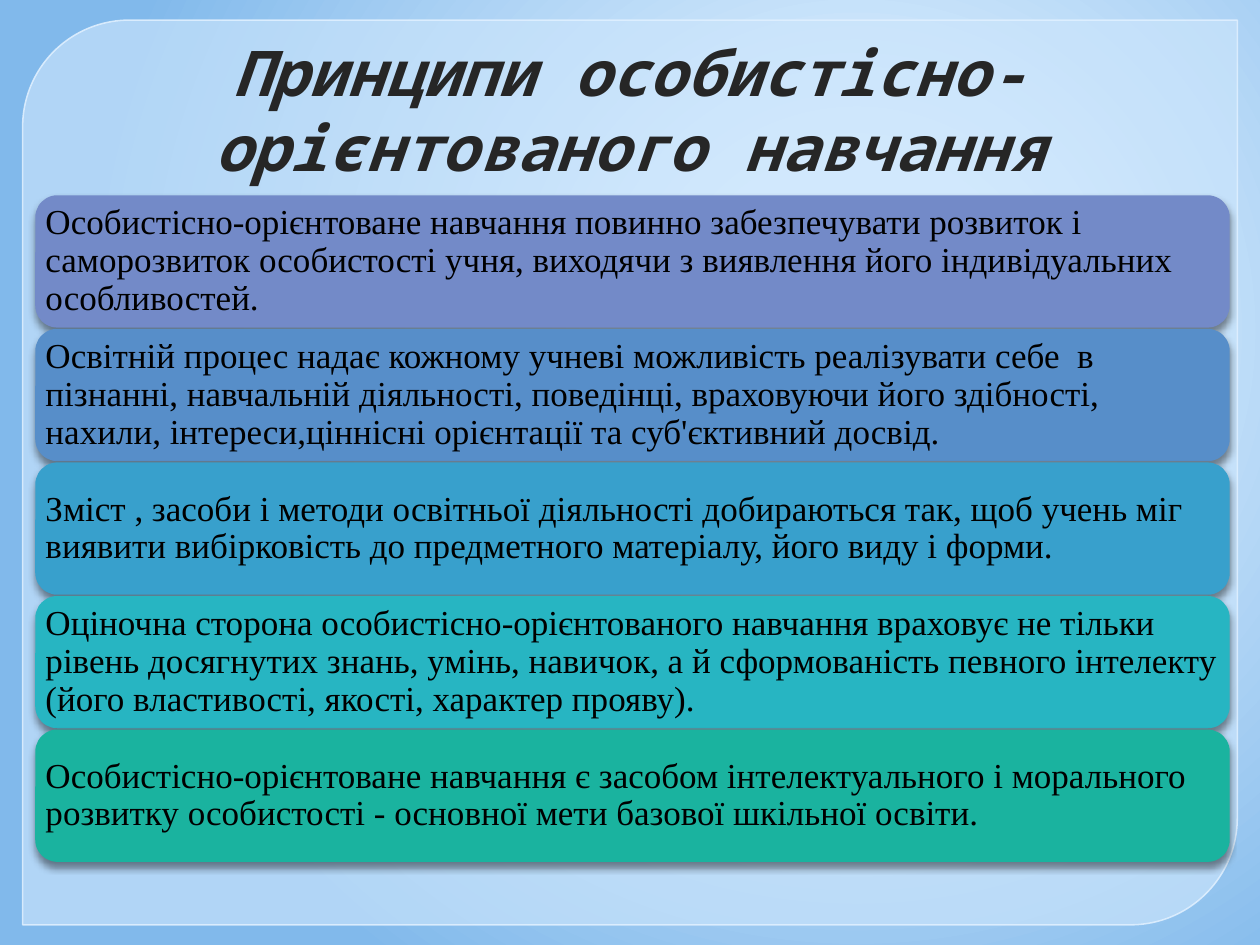
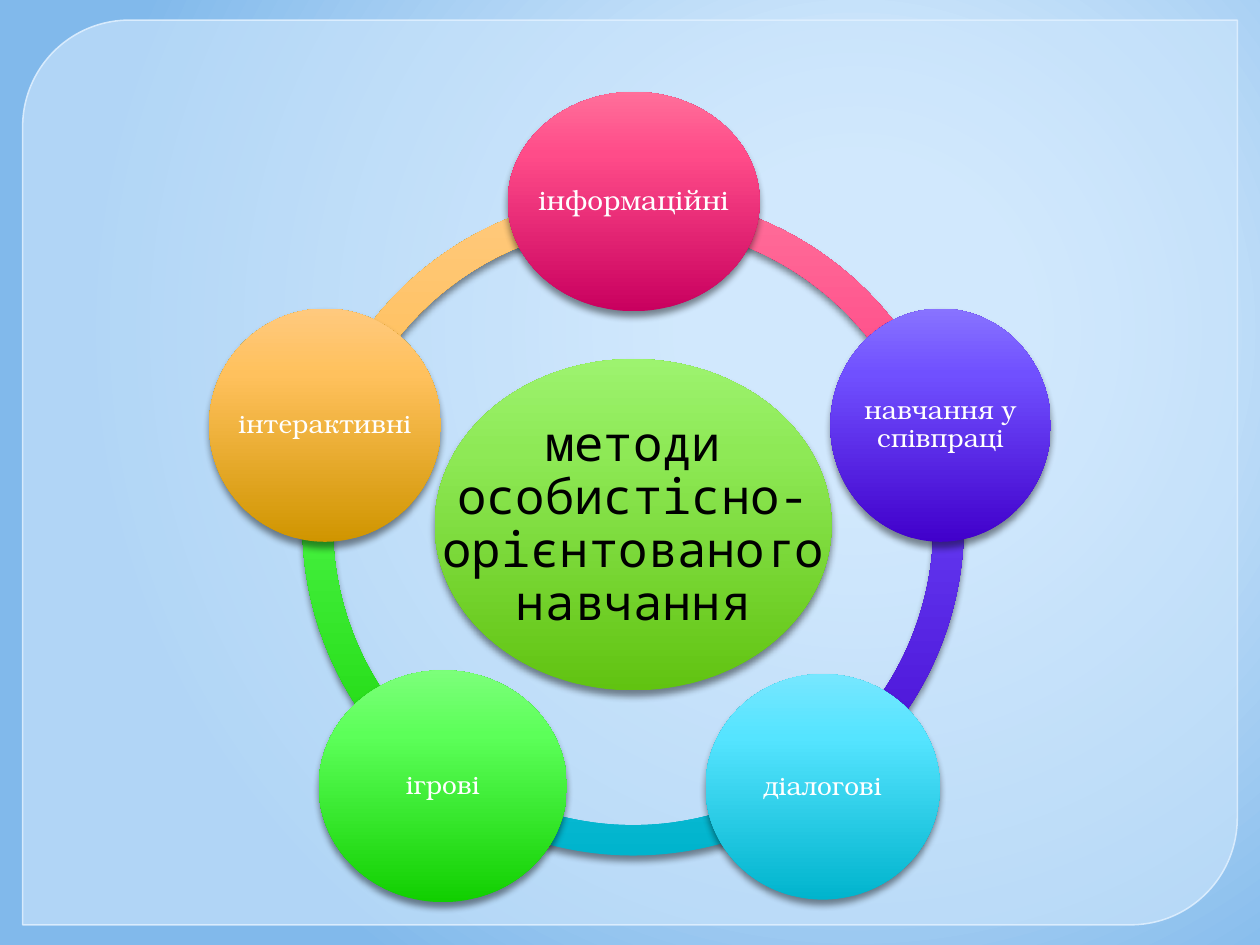
import pptx
import pptx.dml.color
import pptx.enum.shapes
import pptx.enum.text
import pptx.oxml
import pptx.oxml.ns
import pptx.util
from lxml import etree

Inches = pptx.util.Inches
qn = pptx.oxml.ns.qn
rgb = pptx.dml.color.RGBColor.from_string
KIND = pptx.enum.shapes.MSO_SHAPE
ALIGN = pptx.enum.text.PP_ALIGN

HUES = {
    "plate": "CBE5FC", "edge": "E0F0FF", "title": "262626",
    "black": "000000", "white": "FFFFFF",
    "slate": "738AC8", "blue": "578EC9", "sky": "38A0CC",
    "teal": "27B5C2", "jade": "1AB39F",
}
# Gradient stops, at 0, some middle place and 100 percent
BLENDS = {
    "back": ["E1F1FF", "DFF0FF", "81B9EB"],
    "pink": ["C9005F", "FF4C89", "FF6F9A"],
    "violet": ["4100CB", "7050FF", "8873FF"],
    "cyan": ["00B4CD", "55E4FF", "76E7FF"],
    "green": ["11CF00", "5CFF59", "7CFF7A"],
    "orange": ["D09500", "FFC15D", "FFC97E"],
    "lime": ["61C311", "8EE956", "9DF36F"],
}
MONO, SERIF, ROUND = "Noto Sans Mono", "Times New Roman", "TeX Gyre Bonum"
SPACE = 'xmlns:a="http://schemas.openxmlformats.org/drawingml/2006/main"'
GRAD = (f'<a:gradFill {SPACE} rotWithShape="1"><a:gsLst>'
        '<a:gs pos="0"><a:srgbClr val="{0}"/></a:gs>'
        '<a:gs pos="{mid}"><a:srgbClr val="{1}"/></a:gs>'
        '<a:gs pos="100000"><a:srgbClr val="{2}"/></a:gs>'
        '</a:gsLst>{way}</a:gradFill>')
SHADE = (f'<a:outerShdw {SPACE} blurRad="50800" dist="38100" dir="5400000" '
         'rotWithShape="0"><a:srgbClr val="000000"><a:alpha val="43000"/>'
         '</a:srgbClr></a:outerShdw>')


def write(shape, text, size, font, hue="black", bold=False, slant=False,
          align=ALIGN.CENTER, inset=0.02, space=0.9):
    frame = shape.text_frame
    frame.word_wrap = True
    frame.auto_size = pptx.enum.text.MSO_AUTO_SIZE.NONE
    frame.vertical_anchor = pptx.enum.text.MSO_ANCHOR.MIDDLE
    frame.margin_left = frame.margin_right = Inches(inset)
    frame.margin_top = frame.margin_bottom = Inches(inset)
    frame.text = text
    para = frame.paragraphs[0]
    para.alignment = align
    para.line_spacing = space
    style = para.runs[0].font
    style.size = pptx.util.Pt(size)
    style.name = font
    style.bold, style.italic = bold, slant
    style.color.rgb = rgb(HUES[hue])


def draw(slide, kind, spot, hue):
    """Add a shape without outline, with a soft shadow, flat or blended."""
    shape = slide.shapes.add_shape(kind, *map(Inches, spot))
    props = shape.element.spPr
    if hue in BLENDS:
        props.insert(2, pptx.oxml.parse_xml(GRAD.format(
            *BLENDS[hue], mid=72000, way='<a:lin ang="16200000" scaled="0"/>')))
    else:
        shape.fill.solid()
        shape.fill.fore_color.rgb = rgb(HUES[hue])
    shape.line.fill.background()
    shape.shadow.inherit = False
    props.find(qn("a:effectLst")).append(pptx.oxml.parse_xml(SHADE))
    return shape


deck = pptx.Presentation()
deck.slide_width, deck.slide_height = Inches(10), Inches(7.5)
first = deck.slides.add_slide(deck.slide_layouts[5])
second = deck.slides.add_slide(deck.slide_layouts[6])

# Master: round glow behind everything
master = deck.slide_master
master.background.fill.solid()
back = master.element.find(".//" + qn("p:bgPr"))
back.replace(back[0], pptx.oxml.parse_xml(GRAD.format(
    *BLENDS["back"], mid=20000,
    way='<a:path path="circle"><a:fillToRect l="68000" t="35000" '
        'r="32000" b="65000"/></a:path>')))

# Master: pale plate with two round corners
plate = first.shapes.add_shape(KIND.ROUND_2_DIAG_RECTANGLE, Inches(0.18),
                               Inches(0.16), Inches(9.64), Inches(7.18))
plate.adjustments[0], plate.adjustments[1] = 0.118, 0
plate.fill.solid()
plate.fill.fore_color.rgb = rgb(HUES["plate"])
plate.line.color.rgb = rgb(HUES["edge"])
plate.line.width = pptx.util.Pt(0.87)
plate.shadow.inherit = False
tints = plate.element.spPr.iter(qn("a:srgbClr"))
for tint, alpha in zip(list(tints), ("65000", "88000")):
    etree.SubElement(tint, qn("a:alpha")).set("val", alpha)
master.shapes.element.insert(2, plate.element)

# Slide 1: title
title = first.shapes.title
title.left, title.top = Inches(0.51), Inches(0.21)
title.width, title.height = Inches(8.98), Inches(1.31)
write(title, "Принципи особистісно-орієнтованого навчання", 36, MONO,
      hue="title", bold=True, slant=True, inset=0.05, space=1.0)

# Slide 1: one bar for each principle
bars = [
    ("slate", "Особистісно-орієнтоване навчання повинно забезпечувати розвиток "
              "і саморозвиток особистості учня, виходячи з виявлення його "
              "індивідуальних особливостей."),
    ("blue", "Освітній процес надає кожному учневі можливість реалізувати "
             "себе  в  пізнанні, навчальній діяльності, поведінці, враховуючи "
             "його здібності, нахили, інтереси,ціннісні орієнтації та "
             "суб'єктивний досвід."),
    ("sky", "Зміст , засоби і методи освітньої діяльності добираються так, щоб "
            "учень міг виявити вибірковість до предметного матеріалу, його "
            "виду і форми."),
    ("teal", "Оціночна сторона особистісно-орієнтованого навчання враховує не "
             "тільки рівень досягнутих знань, умінь, навичок, а й "
             "сформованість певного інтелекту (його властивості, якості, "
             "характер прояву)."),
    ("jade", "Особистісно-орієнтоване навчання є засобом інтелектуального і "
             "морального розвитку особистості - основної мети базової "
             "шкільної освіти."),
]
for row, (hue, text) in enumerate(bars):
    bar = draw(first, KIND.ROUNDED_RECTANGLE,
               (0.28, 1.55 + 1.06 * row, 9.48, 1.05), hue)
    write(bar, text, 20, SERIF, align=ALIGN.LEFT, inset=0.03)

# Slide 2: methods clockwise from the top, a fifth of a turn apart
nodes = [
    ("pink", (4.03, 0.73, 2, 1.74), "інформаційні", 16),
    ("violet", (6.59, 2.45, 1.75, 1.85), "навчання у співпраці", 15),
    ("cyan", (5.6, 5.35, 1.86, 1.79), "діалогові", 15),
    ("green", (2.53, 5.32, 1.97, 1.84), "ігрові", 15),
    ("orange", (1.66, 2.45, 1.84, 1.85), "інтерактивні", 15),
]

# Slide 2: ring of arcs; one degree is 0.6 in arc units
for step in reversed(range(5)):
    arc = draw(second, KIND.BLOCK_ARC, (2.4, 1.54, 5.25, 5.25), nodes[step][0])
    start = (270 + 72 * step) % 360
    arc.adjustments[0] = start * 0.6
    arc.adjustments[1] = (start + 72) % 360 * 0.6
    arc.adjustments[2] = 0.046

# Slide 2: discs, with labels as wide as the whole disc
hub = ("lime", (3.45, 2.85, 3.15, 2.63),
       "методи особистісно-орієнтованого навчання", 28)
for node in [hub] + nodes:
    hue, spot, text, size = node
    draw(second, KIND.OVAL, spot, hue)
    label = second.shapes.add_textbox(*map(Inches, spot))
    if node is hub:
        write(label, text, size, MONO, inset=0.04)
    else:
        write(label, text, size, ROUND, hue="white")

deck.save("out.pptx")
